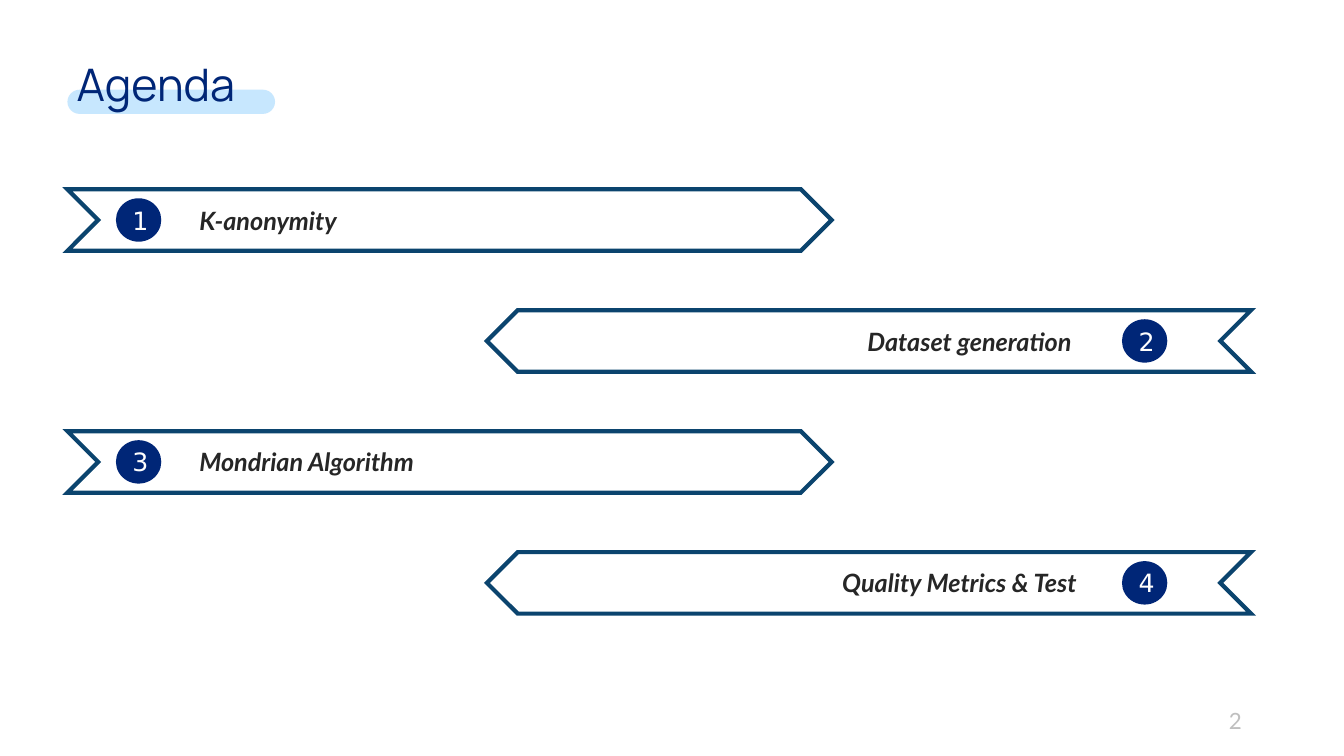
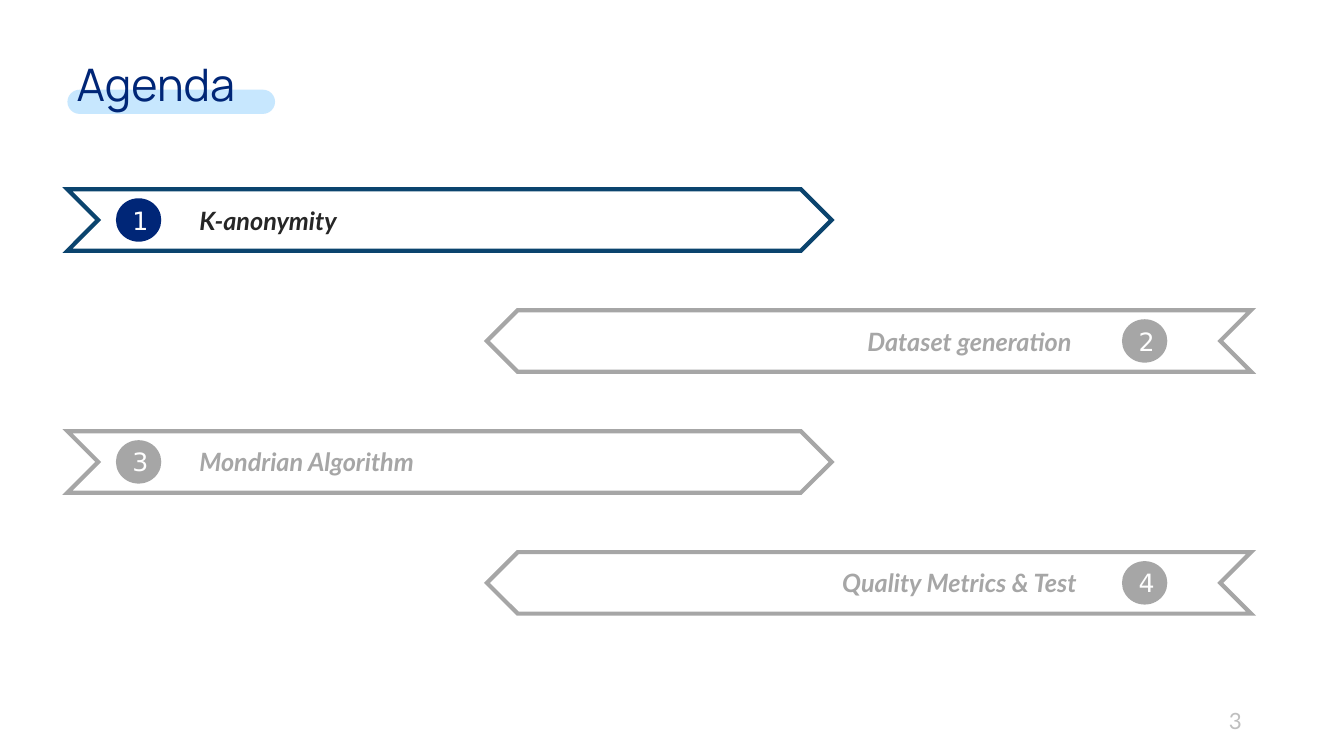
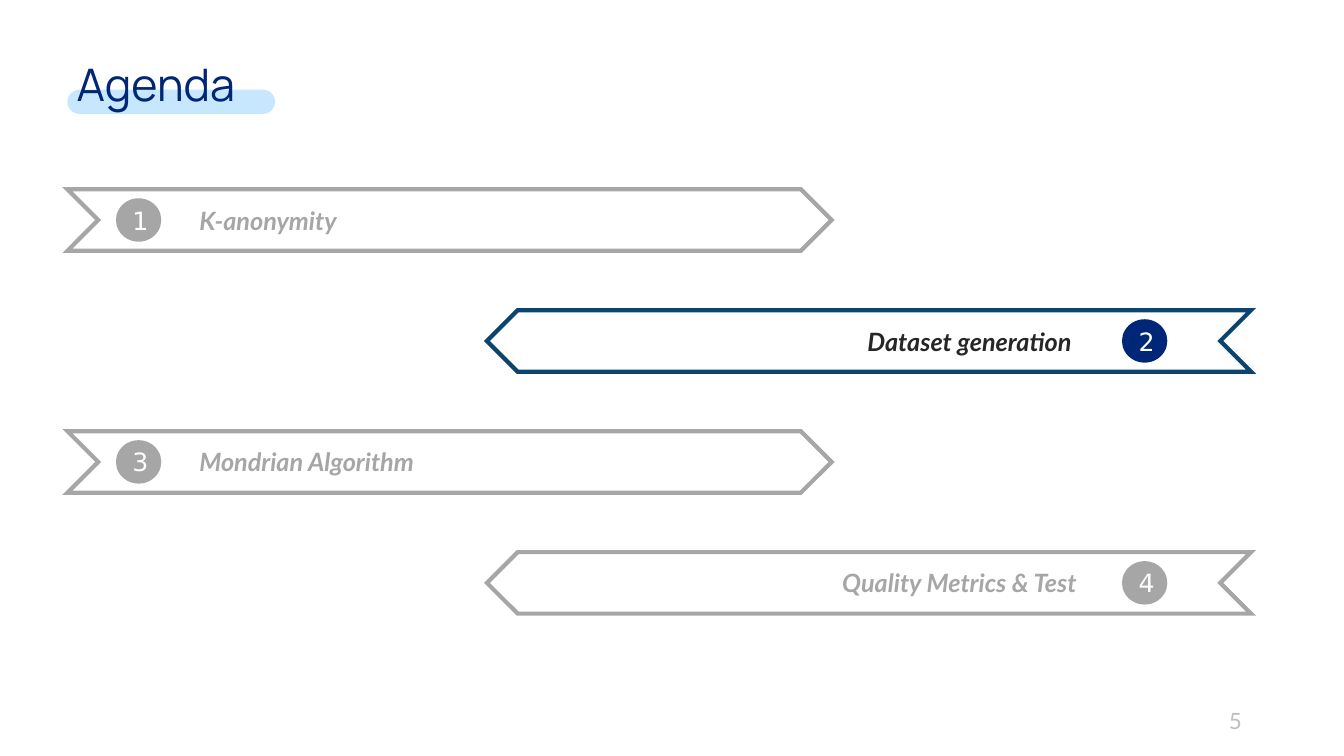
import pptx
import pptx.dml.color
import pptx.enum.shapes
import pptx.enum.text
import pptx.oxml.ns
import pptx.util
import lxml.etree

Pt = pptx.util.Pt
SHAPES = pptx.enum.shapes.MSO_SHAPE
ALIGN = pptx.enum.text.PP_ALIGN
MIDDLE = pptx.enum.text.MSO_ANCHOR.MIDDLE
AUTO_SIZE = pptx.enum.text.MSO_AUTO_SIZE

COLOURS = {
    "white": "FFFFFF",
    "navy": "002677",
    "outline": "0B446E",
    "ink": "262626",
    "muted": "A6A6A6",
    "number": "BFBFBF",
    "highlight": "A3D7FE",
}
TOPICS = [
    ("K-anonymity", 146.9),
    ("Dataset generation", 173.5),
    ("Mondrian Algorithm", 182.9),
    ("Quality Metrics & Test", 191.5),
]
PAGES = [(2, {1, 2, 3, 4}), (3, {1}), (5, {2})]

TITLE_BOX = (47.5, 16.6, 149, 86.4)
NUMBER_BOX = (678.2, 500.4, 216, 28.8)
BANNER_LEFTS = (48.2, 347.8)
BANNER_TOP = 135.2
BANNER_STEP = 86.4
BANNER_SIZE = (545.8, 43.9)
BADGE_SIZE = (32.4, 31)
LABEL_HEIGHT = 28.8


def colour(name):
    return pptx.dml.color.RGBColor.from_string(COLOURS[name])


def points(box):
    return [Pt(length) for length in box]


def write(frame, text, font, size, colour_name, align=ALIGN.LEFT, emphasis=None):
    frame.vertical_anchor = MIDDLE
    para = frame.paragraphs[0]
    para.alignment = align
    span = para.add_run()
    span.text = text
    span.font.name = font
    span.font.size = Pt(size)
    span.font.bold = emphasis
    span.font.italic = emphasis
    span.font.color.rgb = colour(colour_name)


def add_filled(page, kind, box, fill):
    shape = page.shapes.add_shape(kind, *points(box))
    shape.shadow.inherit = False
    shape.fill.solid()
    shape.fill.fore_color.rgb = colour(fill)
    shape.line.fill.background()
    return shape


def add_text(page, box, *style, **options):
    frame = page.shapes.add_textbox(*points(box)).text_frame
    frame.word_wrap = True
    write(frame, *style, **options)
    return frame


def add_title(page, box, text):
    left, top, width, height = box
    title = page.shapes.title
    title.left, title.top, title.width, title.height = points(box)
    frame = title.text_frame
    frame.auto_size = AUTO_SIZE.NONE
    frame.margin_left = frame.margin_right = Pt(7.2)
    frame.margin_top = frame.margin_bottom = Pt(7.2)
    write(frame, text, "Manrope", 32, "navy")

    highlight_box = (left + 0.7, top + 47.5, width - 0.7, 17.3)
    highlight = add_filled(page, SHAPES.ROUNDED_RECTANGLE, highlight_box, "highlight")
    highlight.adjustments[0] = 0.5
    tint = highlight.element.spPr.find(".//" + pptx.oxml.ns.qn("a:srgbClr"))
    lxml.etree.SubElement(tint, pptx.oxml.ns.qn("a:alpha"), val="60000")
    title.element.addprevious(highlight.element)


def add_banner(page, box, number, topic, label_width, active, mirrored):
    left, top, width, height = box
    chevron = add_filled(page, SHAPES.CHEVRON, box, "white")
    chevron.rotation = 180 if mirrored else 0
    chevron.line.color.rgb = colour("outline" if active else "muted")
    chevron.line.width = Pt(3)
    line = chevron.element.spPr.find(pptx.oxml.ns.qn("a:ln"))
    lxml.etree.SubElement(line, pptx.oxml.ns.qn("a:miter"), lim="800000")

    badge_width, badge_height = BADGE_SIZE
    badge_left = left + (453.6 if mirrored else 34.6)
    badge_box = (badge_left, top + (height - badge_height) / 2, badge_width, badge_height)
    badge = add_filled(page, SHAPES.OVAL, badge_box, "navy" if active else "muted")
    write(badge.text_frame, str(number), "DejaVu Sans", 18, "white", ALIGN.CENTER)

    label_left = left + (438.2 - label_width if mirrored else 87.1)
    label_box = (label_left, top + (height - LABEL_HEIGHT) / 2, label_width, LABEL_HEIGHT)
    label = add_text(page, label_box, topic, "Lato", 18,
                     "ink" if active else "muted", emphasis=True)
    label.auto_size = AUTO_SIZE.SHAPE_TO_FIT_TEXT


def add_agenda(deck, page_number, active_topics):
    page = deck.slides.add_slide(deck.slide_layouts[5])
    add_title(page, TITLE_BOX, "Agenda")
    for index, (topic, label_width) in enumerate(TOPICS):
        side = index % 2
        box = (BANNER_LEFTS[side], BANNER_TOP + index * BANNER_STEP, *BANNER_SIZE)
        number = index + 1
        add_banner(page, box, number, topic, label_width,
                   number in active_topics, side == 1)
    add_text(page, NUMBER_BOX, str(page_number), "Lato", 16, "number", ALIGN.RIGHT)


def main():
    deck = pptx.Presentation()
    deck.slide_width, deck.slide_height = Pt(960), Pt(540)
    for page_number, active_topics in PAGES:
        add_agenda(deck, page_number, active_topics)
    deck.save("out.pptx")


if __name__ == "__main__":
    main()
